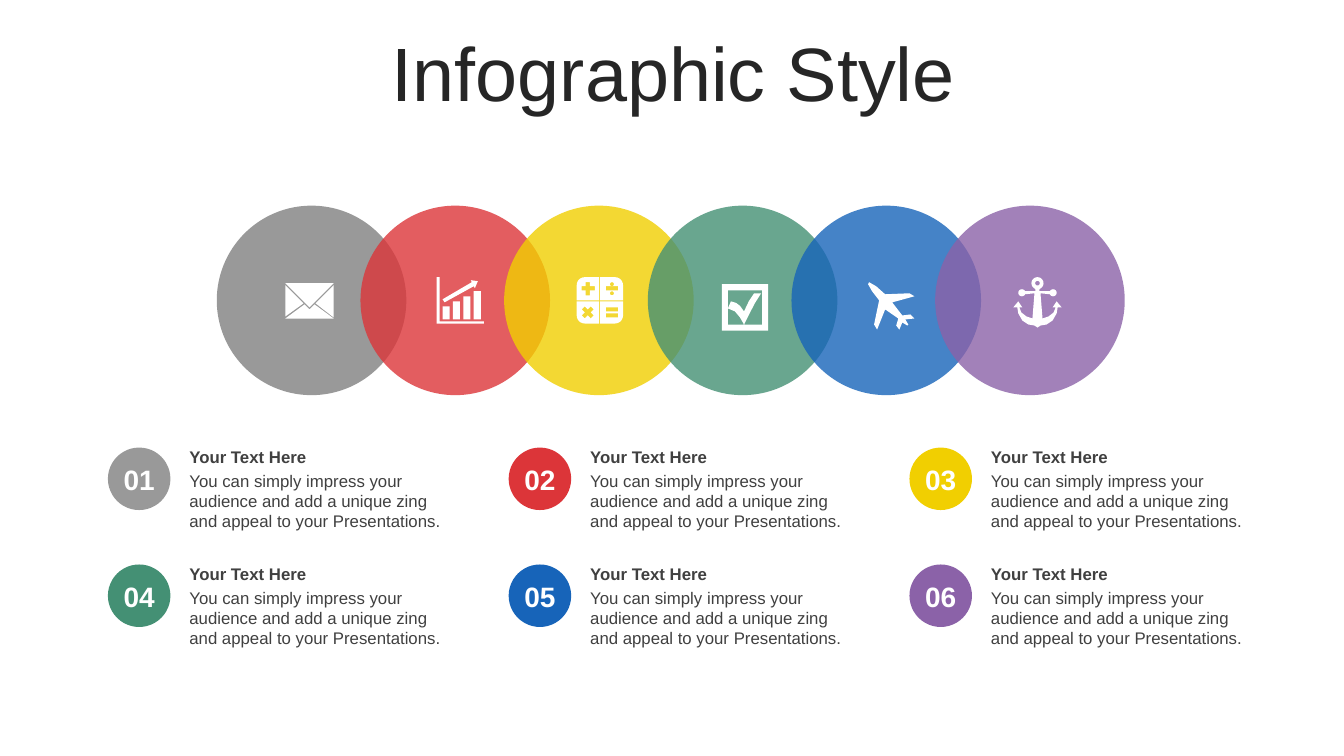
import math
from lxml import etree
from pptx import Presentation
from pptx import util as u
from pptx.dml.color import RGBColor
from pptx.enum import shapes, text
from pptx.oxml.ns import qn

THEME = {
    "font": "Arial",
    "title": "262626",
    "body": "404040",
    "white": "FFFFFF",
    "accents": ["808080", "DC3539", "F1CF01", "449074", "1764B9", "8B62A8"],
    "title_size": 54,
    "badge_size": 20,
    "body_size": 12,
}
TITLE = "Infographic Style"
HEADING = "Your Text Here"
BODY = "You can simply impress your audience and add a unique zing and appeal to your Presentations."

CIRCLE_LEFT, CIRCLE_TOP, CIRCLE_SIZE, CIRCLE_STEP = 2.15, 2.04, 1.88, 1.425
GRID_LEFT, GRID_TOP, COLUMN_STEP, ROW_STEP, COLUMNS = 1.07, 4.44, 3.975, 1.16, 3
BADGE_SIZE = 0.62

presentation = Presentation()
presentation.slide_width = u.Inches(13.33)
presentation.slide_height = u.Inches(7.5)
slide = presentation.slides.add_slide(presentation.slide_layouts[6])


def add_text(content, box, size, color, bold=False, centered=False, inset=None):
    shape = slide.shapes.add_textbox(*[u.Inches(length) for length in box])
    frame = shape.text_frame
    frame.text = content
    frame.word_wrap = True
    if inset is not None:
        frame.margin_left = frame.margin_right = u.Inches(inset)
        frame.margin_top = frame.margin_bottom = u.Inches(inset)
    paragraph = frame.paragraphs[0]
    paragraph.alignment = text.PP_ALIGN.CENTER if centered else text.PP_ALIGN.LEFT
    font = paragraph.runs[0].font
    font.name = THEME["font"]
    font.size = u.Pt(size)
    font.bold = bold
    font.color.rgb = RGBColor.from_string(color)
    return frame


def arc(x, y, radius, start, end):
    steps = max(6, abs(end - start) // 15)
    angles = [math.radians(start + (end - start) * step / steps) for step in range(steps + 1)]
    return [(x + radius * math.cos(angle), y + radius * math.sin(angle)) for angle in angles]


title = add_text(TITLE, (0.35, 0.37, 12.66, 0.79), THEME["title_size"], THEME["title"], centered=True)
title.vertical_anchor = text.MSO_ANCHOR.MIDDLE
title.paragraphs[0].line_spacing = 0.9
title.paragraphs[0].space_before = u.Pt(10)

ellipses = []
for index, color in enumerate(THEME["accents"]):
    row, column = divmod(index, COLUMNS)
    ellipses.append((CIRCLE_LEFT + index * CIRCLE_STEP, CIRCLE_TOP, CIRCLE_SIZE, color, 80))
    ellipses.append((GRID_LEFT + column * COLUMN_STEP, GRID_TOP + row * ROW_STEP,
                     BADGE_SIZE, color, 100 if index else 80))

for left, top, size, color, opacity in ellipses:
    ellipse = slide.shapes.add_shape(shapes.MSO_SHAPE.OVAL, u.Inches(left), u.Inches(top),
                                     u.Inches(size), u.Inches(size))
    ellipse.shadow.inherit = False
    ellipse.line.fill.background()
    ellipse.fill.solid()
    ellipse.fill.fore_color.rgb = RGBColor.from_string(color)
    if opacity < 100:
        fill_color = ellipse.element.spPr.find(".//" + qn("a:srgbClr"))
        etree.SubElement(fill_color, qn("a:alpha")).set("val", str(opacity * 1000))

for index in range(len(THEME["accents"])):
    row, column = divmod(index, COLUMNS)
    left = GRID_LEFT + column * COLUMN_STEP
    top = GRID_TOP + row * ROW_STEP
    add_text(f"{index + 1:02}", (left, top + 0.15, BADGE_SIZE, 0.34), THEME["badge_size"],
             THEME["white"], bold=True, centered=True, inset=0)
    add_text(HEADING, (left + 0.71, top - 0.06, 2.79, 0.3), THEME["body_size"], THEME["body"], bold=True)
    add_text(BODY, (left + 0.71, top + 0.18, 2.79, 0.71), THEME["body_size"], THEME["body"])

envelope = [
    [(29, 21), (48, 35), (0, 35), (19, 21), (24, 26)],
    [(48, 2), (48, 34), (30, 20)],
    [(0, 2), (18, 20), (0, 33)],
    [(0, 0), (48, 0), (24, 24)],
]
bars = [[(6 + 10.3 * bar, 29 - 5 * bar), (13 + 10.3 * bar, 42)] for bar in range(4)]
bar_chart = bars + [
    [(34, 3), (41, 4), (38, 11), (37, 9), (8, 25), (6, 22), (35, 5)],
    [(0, 0), (3, 0), (3, 44), (47, 44), (47, 46), (0, 46)],
]
calculator = [
    [(22, 0), (22, 23), (0, 23)] + arc(8, 8, 8, 180, 270),
    [(23, 23), (23, 0)] + arc(38, 8, 8, -90, 0) + [(46, 23)],
    [(0, 24), (22, 24), (22, 46)] + arc(8, 38, 8, 90, 180),
    [(23, 24), (46, 24)] + arc(38, 38, 8, 0, 90) + [(23, 46)],
    [(9, 5), (9, 9), (5, 9), (5, 13), (9, 13), (9, 18), (13, 18), (13, 13),
     (18, 13), (18, 9), (13, 9), (13, 5)],
    [(8, 29), (5, 32), (8, 35), (5, 38), (8, 41), (11, 38), (14, 41), (17, 38),
     (14, 35), (17, 32), (14, 29), (11, 32)],
    [(29, 9), (41, 13)],
    [(29, 30), (41, 34)],
    [(29, 36), (41, 40)],
    arc(35, 7, 2, 0, 360),
    arc(35, 16, 2, 0, 360),
]
check_box = [
    [(0, 0), (46, 0), (46, 46), (0, 46)],
    [(6, 6), (40, 40)],
    [(22, 40), (18, 33), (13, 27), (6, 24), (9, 17), (14, 18.5), (18, 21.5), (22, 27),
     (27, 16.5), (32, 9), (39, 9), (33, 18.5), (27, 30)],
]
airplane = [
    [(46, 36), (37, 37), (40, 42), (39, 43), (34, 40), (31, 47), (28, 43), (30, 36),
     (17, 27), (9, 47), (6, 42), (11, 18), (4, 9), (0, 2), (1, 0), (8, 4), (17, 12),
     (41, 11), (46, 14), (24, 20), (34, 33), (42, 32)],
]
anchor_half = (
    arc(24, 6, 6, -90, 60) + [(26, 12), (26, 14), (36, 14)] + arc(39.5, 15.5, 3.5, 205, 515)
    + [(27, 16), (29, 41), (35, 39), (40, 35), (42, 30), (39, 30), (43, 24), (48, 30),
       (44, 30), (43, 36), (39, 43), (33, 47), (27, 48), (24, 50)]
)
anchor = [
    anchor_half + [(48 - x, y) for x, y in reversed(anchor_half)],
    arc(24, 6, 2.3, 0, 360),
]

icons = [
    (2.83, 2.81, envelope),
    (4.33, 2.75, bar_chart),
    (5.72, 2.75, calculator),
    (7.16, 2.82, check_box),
    (8.61, 2.8, airplane),
    (10.05, 2.75, anchor),
]
for left, top, outlines in icons:
    builder = None
    for outline in outlines:
        if len(outline) == 2:
            (x1, y1), (x2, y2) = outline
            outline = [(x1, y1), (x2, y1), (x2, y2), (x1, y2)]
        points = [(round(x * 10), round(y * 10)) for x, y in outline]
        if builder is None:
            builder = slide.shapes.build_freeform(*points[0], scale=u.Inches(1) / 1000)
        else:
            builder.move_to(*points[0])
        builder.add_line_segments(points[1:], close=True)
    icon = builder.convert_to_shape(u.Inches(left), u.Inches(top))
    icon.shadow.inherit = False
    icon.line.fill.background()
    icon.fill.solid()
    icon.fill.fore_color.rgb = RGBColor.from_string(THEME["white"])

presentation.save("out.pptx")
